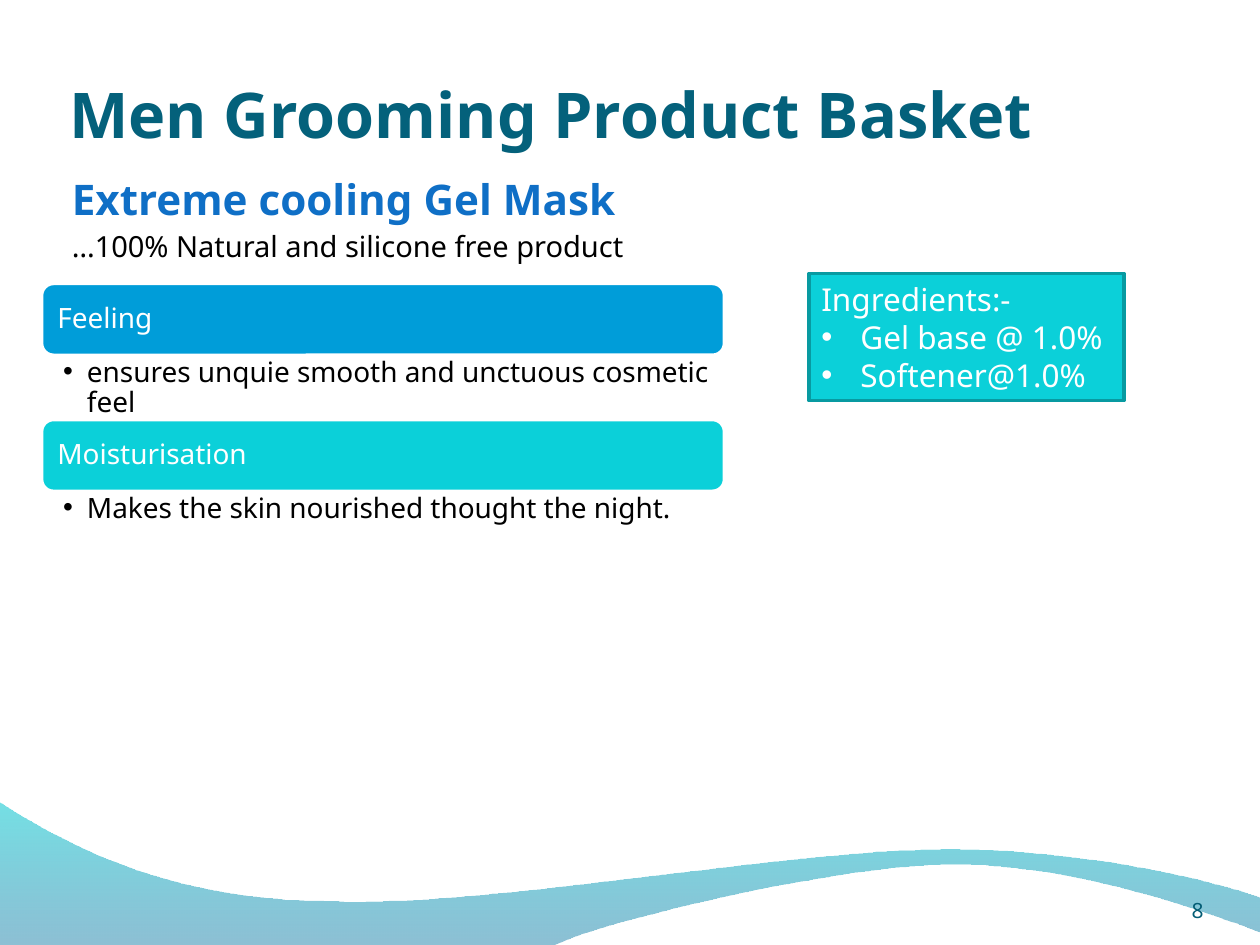
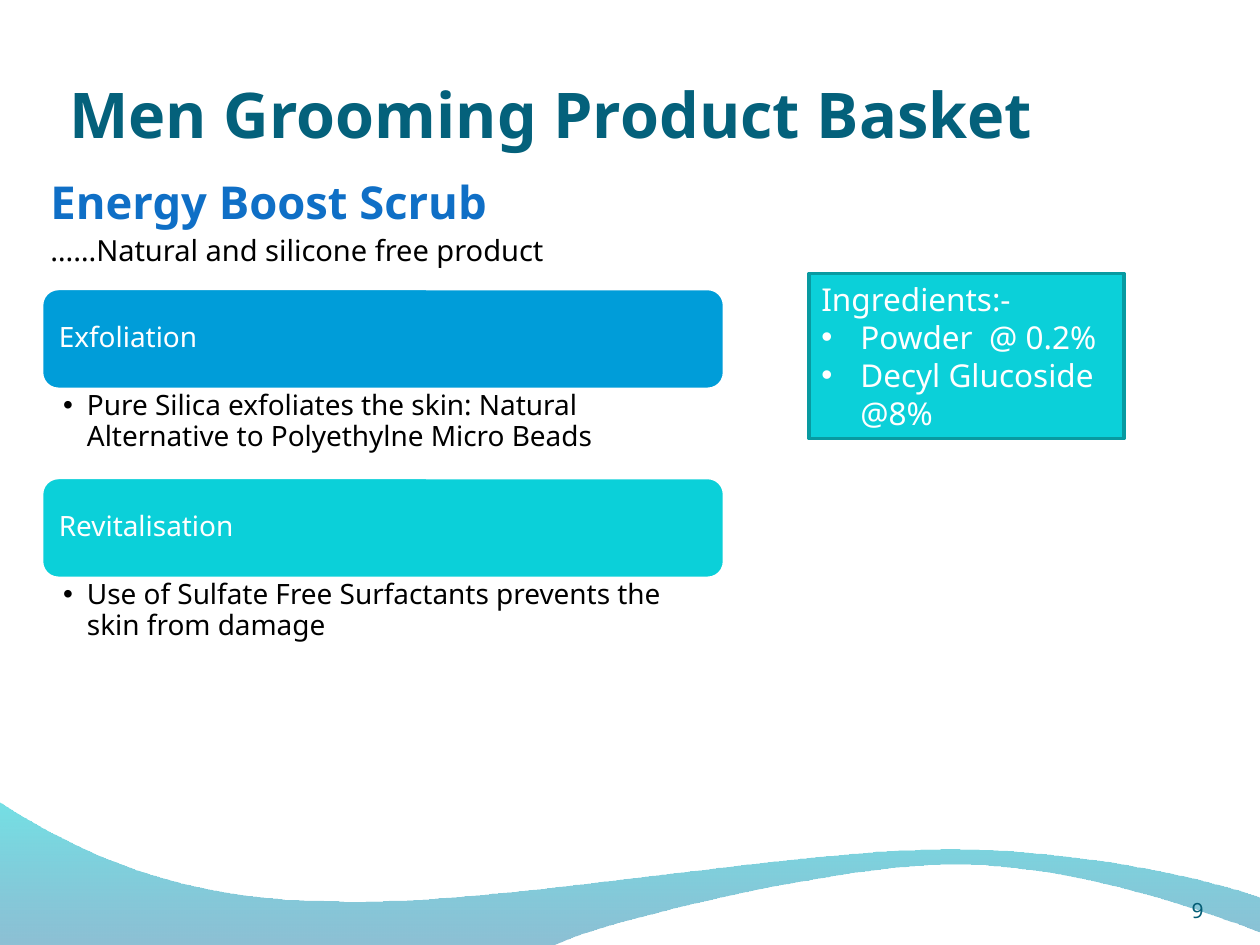
from pptx import Presentation
from pptx.dml.color import RGBColor as RGB
from pptx.enum.shapes import MSO_SHAPE as SHAPE
from pptx.enum.text import MSO_ANCHOR as ANCHOR, MSO_AUTO_SIZE as FIT, PP_ALIGN as ALIGN
from pptx.oxml.ns import qn
from pptx.util import Inches, Pt
from lxml.etree import SubElement

FONT = "Noto Sans"
HEX = {
    "title": "04617B", "head": "0F6FC6", "black": "000000", "white": "FFFFFF",
    "blue": "009DD9", "cyan": "0BD0D9", "edge": "089AA1", "number": "045D75",
    "deep": "0074A1", "light": "00C6CF",
}
BARS = ["blue", "cyan"]
LOWER = [
    [(4.4, 7.5), (4.76, 7.32), (6.64, 6.86), (7.58, 6.86)],
    [(7.58, 6.86), (8.53, 6.86), (9.58, 7.24), (10, 7.4)],
]
UPPER = [
    [(10.01, 7.13), (9.83, 7.05), (8.7, 6.73), (7.46, 6.74)],
    [(7.46, 6.74), (6.22, 6.74), (3.82, 7.21), (2.57, 7.15)],
    [(2.57, 7.15), (1.29, 7.14), (0.46, 6.66), (-0.01, 6.36)],
]


def color(name):
    return RGB.from_string(HEX[name])


def box(*sizes):
    return [Inches(size) for size in sizes]


def write(shape, *lines, size=16, ink="black", bold=False, align=ALIGN.LEFT,
          anchor=ANCHOR.TOP, pad=(0.1, 0.05, 0.1, 0.05), before=0, lead=1.0, hang=0, first=0):
    frame = shape.text_frame
    frame.word_wrap = True
    frame.auto_size = FIT.NONE
    frame.vertical_anchor = anchor
    (frame.margin_left, frame.margin_top,
     frame.margin_right, frame.margin_bottom) = box(*pad)
    for i, line in enumerate(lines):
        para = frame.paragraphs[0] if i == 0 else frame.add_paragraph()
        para.alignment = align
        para.space_before = Pt(before)
        para.line_spacing = lead
        look = {"size": size, "ink": ink, "bold": bold}
        if isinstance(line, tuple):
            line, own = line
            look.update(own)
        run = para.add_run()
        run.text = line
        run.font.name = FONT
        run.font.size = Pt(look["size"])
        run.font.bold = look["bold"]
        run.font.color.rgb = color(look["ink"])
        if hang and i >= first:
            props = para._p.get_or_add_pPr()
            props.set("marL", str(Inches(hang)))
            props.set("indent", str(-Inches(hang)))
            SubElement(props, qn("a:buFont")).set("typeface", "Arial")
            SubElement(props, qn("a:buChar")).set("char", "•")


def block(slide, kind, area, fill, line):
    shape = slide.shapes.add_shape(kind, *box(*area))
    shape.shadow.inherit = False
    shape.fill.solid()
    shape.fill.fore_color.rgb = color(fill)
    shape.line.color.rgb = color(line)
    shape.line.width = Pt(2)
    return shape


def label(slide, area, *lines, **look):
    write(slide.shapes.add_textbox(*box(*area)), *lines, **look)


def curve(points, steps=24):
    for i in range(1, steps + 1):
        t = i / steps
        parts = [(1 - t) ** 3, 3 * t * (1 - t) ** 2, 3 * t * t * (1 - t), t ** 3]
        yield tuple(sum(k * p[axis] for k, p in zip(parts, points)) for axis in (0, 1))


def wave(slide, master):
    path = [(4.4, 7.5)]
    for part in LOWER:
        path += curve(part)
    path.append(UPPER[0][0])
    for part in UPPER:
        path += curve(part)
    pen = slide.shapes.build_freeform(0, Inches(7.5), scale=1.0)
    pen.add_line_segments([box(*point) for point in path], close=True)
    shape = pen.convert_to_shape()
    shape.shadow.inherit = False
    shape.line.fill.background()
    shape.fill.gradient()
    shape.fill.gradient_angle = 90
    stops = shape.fill.gradient_stops
    for stop, name, place in zip(stops, ["deep", "light"], [0, 1]):
        stop.color.rgb = color(name)
        stop.position = place
    tints = shape.element.spPr.iter(qn("a:srgbClr"))
    for tint, alpha in zip(list(tints), [45, 55]):
        SubElement(tint, qn("a:alpha")).set("val", str(alpha * 1000))
    shape.element.nvSpPr.cNvPr.set("id", "20")
    master.element.cSld.spTree.insert(2, shape.element)


def header(slide, area, text):
    title = slide.shapes.title
    title.left, title.top, title.width, title.height = box(*area)
    write(title, text, size=36, ink="title", bold=True, anchor=ANCHOR.BOTTOM,
          pad=[0.05] * 4)


def intro(slide, area, head, size, note):
    label(slide, area, (head, {"size": size, "ink": "head", "bold": True}), note,
          size=16.6, before=2.5, pad=(0.07, 0.05, 0.05, 0.05))


def claims(slide, area, bar, items):
    x, y, wide, high = area
    step = high / len(items)
    for i, (name, text) in enumerate(items):
        top = y + i * step
        shape = block(slide, SHAPE.ROUNDED_RECTANGLE, (x, top, wide, bar), BARS[i], "white")
        write(shape, name, ink="white", anchor=ANCHOR.MIDDLE, lead=0.9)
        label(slide, (x, top + bar, wide, step - bar), text, lead=0.9, hang=0.19,
              pad=(0.17, 0.02, 0.12, 0.02))


def recipe(slide, area, items):
    shape = block(slide, SHAPE.RECTANGLE, area, "cyan", "edge")
    write(shape, "Ingredients:-", *items, size=18, ink="white", anchor=ANCHOR.MIDDLE,
          hang=0.31, first=1)


def product(deck, page, head, size, note, left, top, high, bar, items, parts, tall):
    slide = deck.slides.add_slide(deck.slide_layouts[5])
    header(slide, (0.5, 0.25, 8.92, 1), "Men Grooming Product Basket")
    intro(slide, (left, 1.33, 8.92, 0.83), head, size, note)
    label(slide, (9.17, 6.92, 0.67, 0.4), str(page), size=12, ink="number",
          align=ALIGN.CENTER, anchor=ANCHOR.BOTTOM, pad=[0] * 4)
    claims(slide, (0.33, top, 5.42, high), bar, items)
    recipe(slide, (6.42, 2.17, 2.5, tall), parts)
    return slide


deck = Presentation()
deck.slide_width, deck.slide_height = box(10, 7.5)
mask = product(
    deck, 8, "Extreme cooling Gel Mask", 24.1, "…100% Natural and silicone free product",
    left=0.5, top=2.25, high=2.16, bar=0.57, tall=1.01,
    items=[("Feeling", "ensures unquie smooth and unctuous cosmetic feel"),
           ("Moisturisation", "Makes the skin nourished thought the night.")],
    parts=["Gel base @ 1.0%", "Softener@1.0%"])
product(
    deck, 9, "Energy Boost Scrub", 25.9, "……Natural and silicone free product",
    left=0.33, top=2.29, high=3, bar=0.8, tall=1.31,
    items=[("Exfoliation", "Pure Silica exfoliates the skin: Natural Alternative to "
            "Polyethylne Micro Beads"),
           ("Revitalisation", "Use of Sulfate Free Surfactants prevents the skin from damage")],
    parts=["Powder  @ 0.2%", "Decyl Glucoside @8%"])
wave(mask, deck.slide_master)
deck.save("out.pptx")
